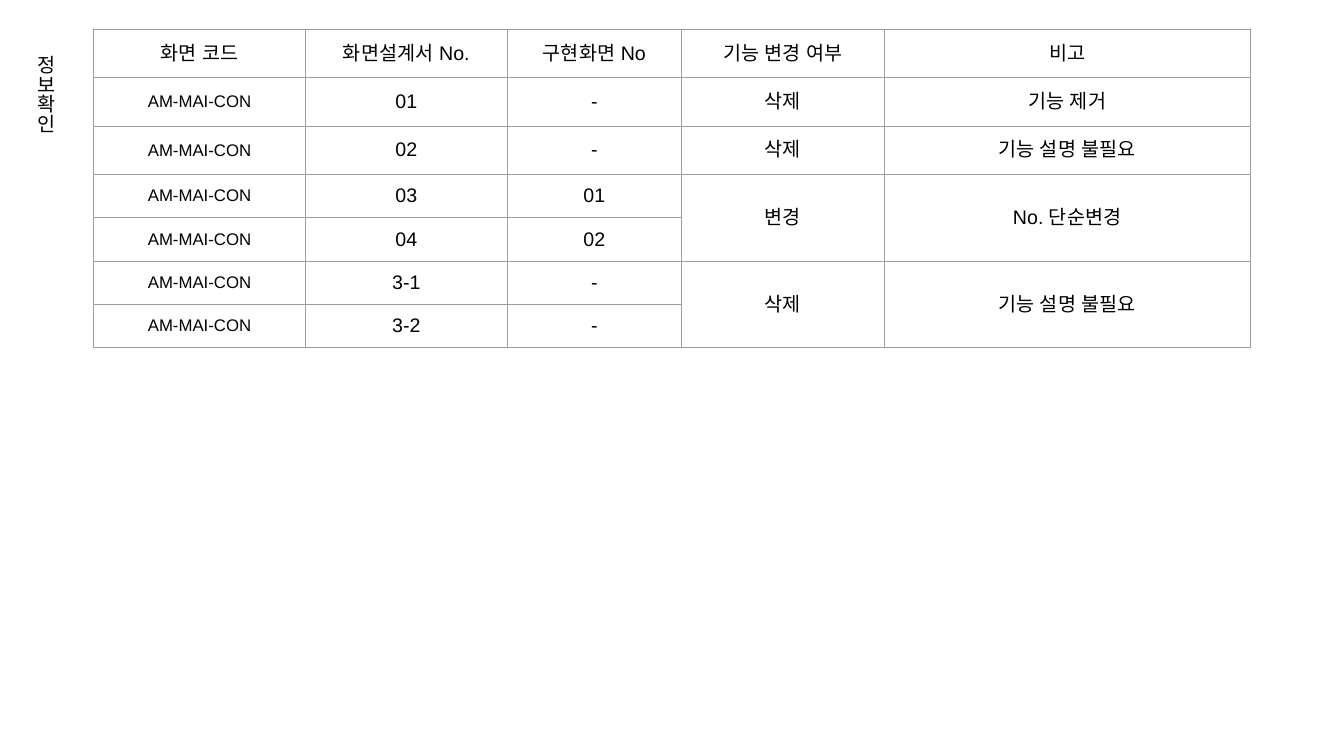
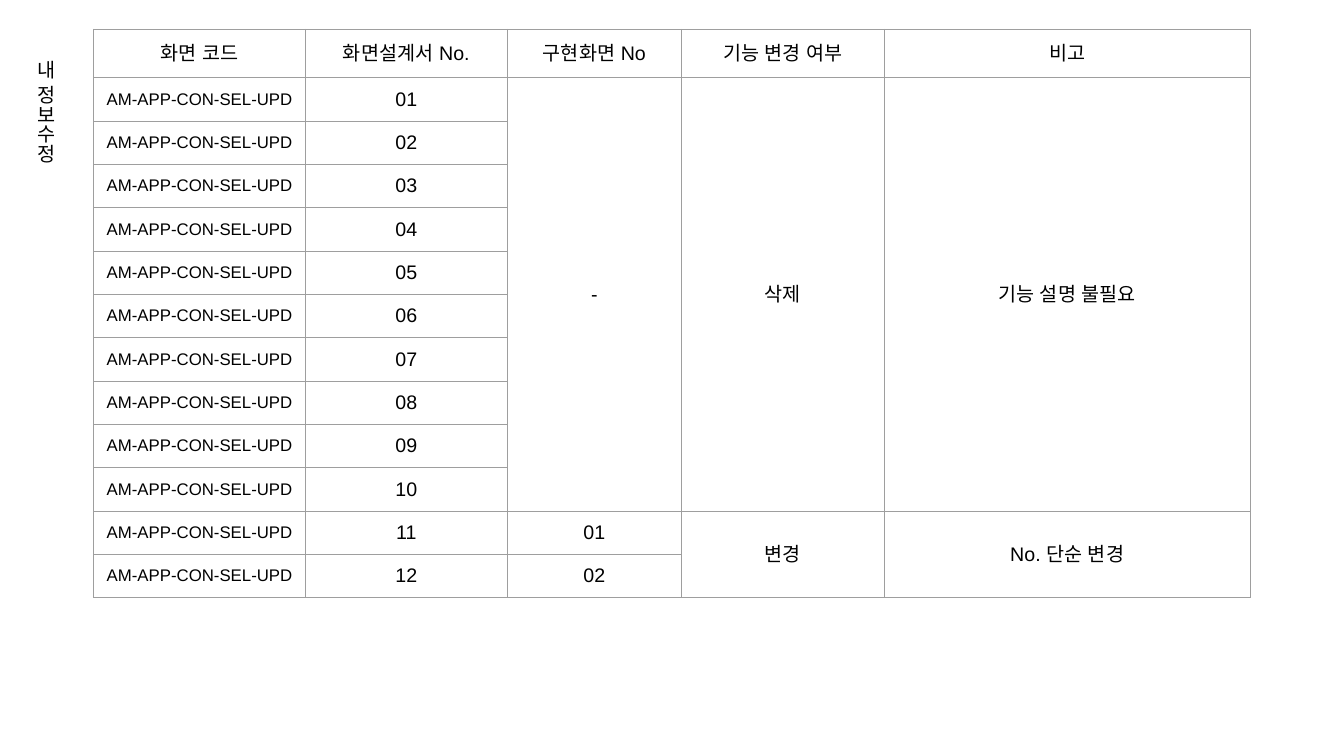
import pptx
import pptx.dml.color
import pptx.enum.lang
import pptx.enum.text
import pptx.oxml
import pptx.oxml.ns
import pptx.util
from pptx.util import Inches

BLACK = pptx.dml.color.RGBColor(0x00, 0x00, 0x00)
WHITE = pptx.dml.color.RGBColor(0xFF, 0xFF, 0xFF)
GRAY = pptx.dml.color.RGBColor(0x9E, 0x9E, 0x9E)
ALIGN = pptx.enum.text.PP_ALIGN
ANCHOR = pptx.enum.text.MSO_ANCHOR

HEADERS = ["화면 코드", "화면설계서 No.", "구현화면 No", "기능 변경 여부", "비고"]
COL_WIDTHS = [2.1, 2, 1.73, 2.01, 3.63]
ROW_HEIGHT = 0.43
TALL_ROW_HEIGHT = 0.48
MERGED = [None, None]

INFO_ROWS = [
    ["01", "-", "삭제", "기능 제거"],
    ["02", "-", "삭제", "기능 설명 불필요"],
    ["03", "01", "변경", "No. 단순변경"],
    ["04", "02", *MERGED],
    ["3-1", "-", "삭제", "기능 설명 불필요"],
    ["3-2", "-", *MERGED],
]
EDIT_ROWS = [
    ["01", "-", "삭제", "기능 설명 불필요"],
    *[[f"{n:02}", None, *MERGED] for n in range(2, 11)],
    ["11", "01", "변경", "No. 단순 변경"],
    ["12", "02", *MERGED],
]


def write(tf, text, size=14, color=BLACK, font="Arial", align=ALIGN.CENTER):
    p = tf.paragraphs[0]
    p.alignment = align
    r = p.add_run()
    r.text = text
    r.font.size = pptx.util.Pt(size)
    r.font.name = font
    r.font.color.rgb = color
    r.font.language_id = pptx.enum.lang.MSO_LANGUAGE_ID.KOREAN
    ea = pptx.oxml.parse_xml(f'<a:ea {pptx.oxml.ns.nsdecls("a")} typeface="{font}"/>')
    r.font._element.append(ea)


class Deck:
    def __init__(self):
        self.prs = pptx.Presentation()
        self.prs.slide_width = Inches(13.33)
        self.prs.slide_height = Inches(7.5)
        self.s = None

    def slide(self):
        self.s = self.prs.slides.add_slide(self.prs.slide_layouts[5])
        self.s.background.fill.solid()
        self.s.background.fill.fore_color.rgb = WHITE

    def title(self, text):
        sp = self.s.shapes.title
        sp.left, sp.top = Inches(0.23), Inches(0.5)
        sp.width, sp.height = Inches(0.44), Inches(1.63)
        tf = sp.text_frame
        tf.word_wrap = True
        tf.auto_size = pptx.enum.text.MSO_AUTO_SIZE.NONE
        tf.vertical_anchor = ANCHOR.TOP
        tf._txBody.bodyPr.set("vert", "eaVert")
        write(tf, text, align=ALIGN.LEFT)

    def borders(self, cell):
        tc_pr = cell._tc.get_or_add_tcPr()
        for side in "LRTB":
            tc_pr.append(pptx.oxml.parse_xml(
                f'<a:ln{side} {pptx.oxml.ns.nsdecls("a")} w="{pptx.util.Pt(0.75)}">'
                f'<a:solidFill><a:srgbClr val="{GRAY}"/></a:solidFill></a:ln{side}>'))

    def cell(self, cell, text, size):
        self.borders(cell)
        cell.fill.background()
        cell.vertical_anchor = ANCHOR.MIDDLE
        cell.margin_left = cell.margin_right = Inches(0.1)
        cell.margin_top = cell.margin_bottom = Inches(0.1)
        if text is not None:
            write(cell.text_frame, text, size=size)

    def table(self, code, rows, tall_rows):
        grid = [HEADERS] + [[code, *row] for row in rows]
        heights = [TALL_ROW_HEIGHT if i < tall_rows else ROW_HEIGHT
                   for i in range(len(grid))]
        frame = self.s.shapes.add_table(
            len(grid), len(HEADERS), Inches(0.93), Inches(0.29),
            Inches(sum(COL_WIDTHS)), Inches(sum(heights)))
        table = frame.table
        table.first_row = table.horz_banding = False
        for col, width in zip(table.columns, COL_WIDTHS):
            col.width = Inches(width)
        for i, row in enumerate(grid):
            table.rows[i].height = Inches(heights[i])
            for j, text in enumerate(row):
                self.cell(table.cell(i, j), text, 12 if i and j == 0 else 14)
        self.merge(table, grid)

    def merge(self, table, grid):
        for j in range(len(HEADERS)):
            starts = [i for i, row in enumerate(grid) if row[j] is not None]
            for start, end in zip(starts, starts[1:] + [len(grid)]):
                if end - start > 1:
                    table.cell(start, j).merge(table.cell(end - 1, j))


def main():
    deck = Deck()
    for title, code, rows, tall_rows in [
        ("정보확인", "AM-MAI-CON", INFO_ROWS, 3),
        ("내 정보수정", "AM-APP-CON-SEL-UPD", EDIT_ROWS, 1),
    ]:
        deck.slide()
        deck.table(code, rows, tall_rows)
        deck.title(title)
    deck.prs.save("out.pptx")


if __name__ == "__main__":
    main()
